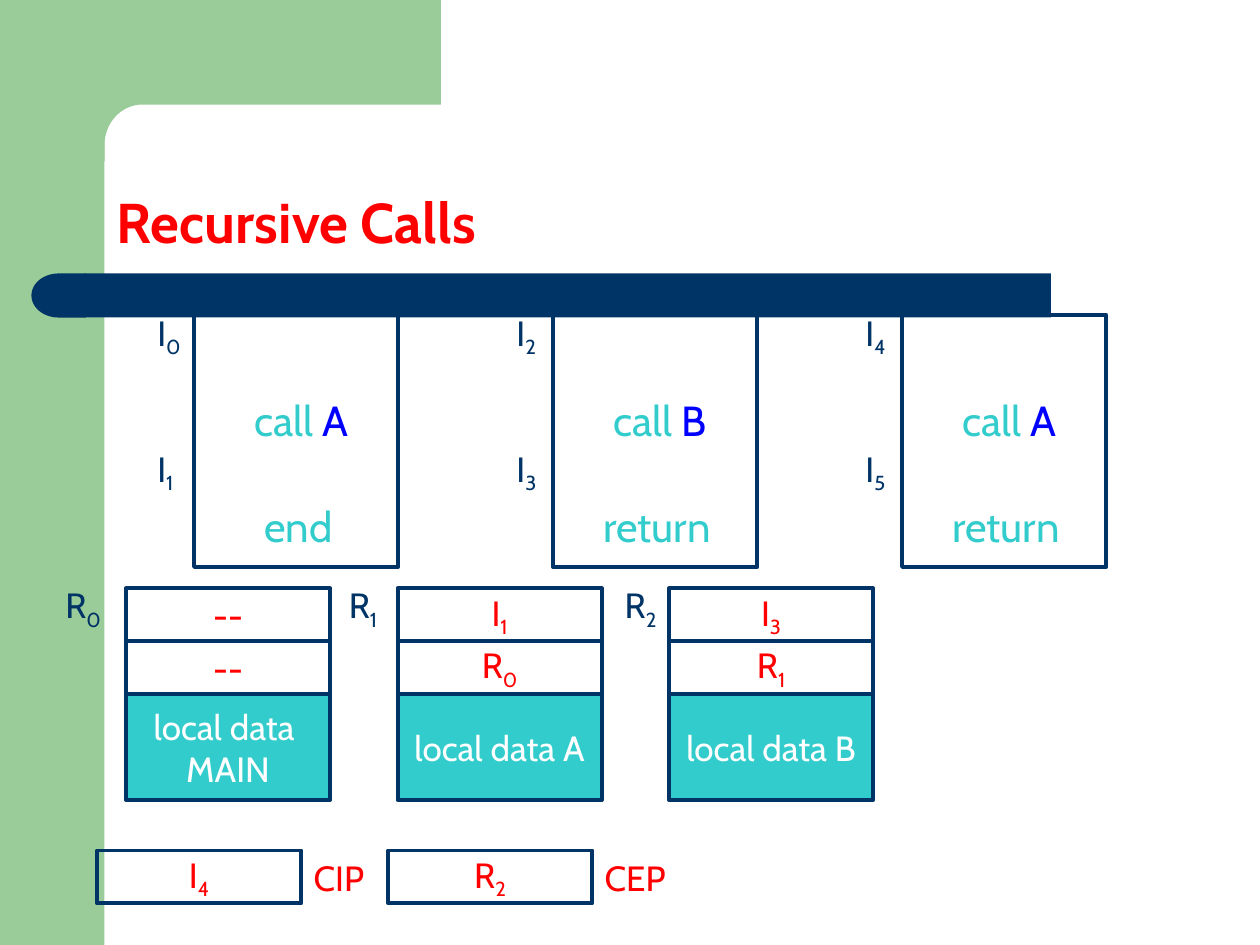
import math
from pptx import Presentation, util as u
from pptx.dml.color import RGBColor
from pptx.enum import shapes, text

GREEN = RGBColor(0x99, 0xCC, 0x99)
NAVY = RGBColor(0x00, 0x33, 0x66)
TEAL = RGBColor(0x33, 0xCC, 0xCC)
RED = RGBColor(0xFF, 0x00, 0x00)
BLUE = RGBColor(0x00, 0x00, 0xFF)
WHITE = RGBColor(0xFF, 0xFF, 0xFF)
FONT = "Cabin"
KIND = shapes.MSO_SHAPE

# An underscore starts a subscript.
# left, label left, entry label, return label, callee, (last word, offset, width)
ROUTINES = [
    (1.54, 1.15, "I_0", "I_1", "A", ("end", 0.46, 0.75)),
    (4.39, 4.00, "I_2", "I_3", "B", ("return", 0.30, 1.22)),
    (7.16, 6.77, "I_4", "I_5", "A", ("return", 0.30, 1.12)),
]
# label, label left, label width, return address, previous record, local data
RECORDS = [
    ("R_0", 0.42, 0.58, "--", "--", "local data \nMAIN"),
    ("R_1", 2.67, 0.74, "I_1", "R_0", "local data A"),
    ("R_2", 4.86, 0.64, "I_3", "R_1", "local data B"),
]
# left, value, name, name width
REGISTERS = [(0.77, "I_4", "CIP", 0.77), (3.08, "R_2", "CEP", 0.69)]

BOX_W, CELL_H, LABEL_H, CODE_H = 1.62, 0.42, 0.43, 0.5
CODE_TOP, RECORD_TOP, REGISTER_TOP = 2.5, 4.67, 6.75
RECORD_LEFT, RECORD_STEP = 1, 2.155

deck = Presentation()
deck.slide_width, deck.slide_height = u.Inches(10), u.Inches(7.5)
page = deck.slides.add_slide(deck.slide_layouts[6])


def write(box, pieces, size=20, bold=False, align=None):
    """Fill a box with (text, colour) pieces; newlines start paragraphs."""
    frame = box.text_frame
    para = frame.paragraphs[0]
    para.alignment = align
    for words, colour in pieces:
        for row, line in enumerate(words.split("\n")):
            if row:
                para = frame.add_paragraph()
                para.alignment = align
            for level, part in enumerate(line.split("_")):
                span = para.add_run()
                span.text = part
                span.font.name, span.font.size = FONT, u.Pt(size)
                span.font.bold = bold
                span.font.color.rgb = colour
                if level:
                    span.font._element.set("baseline", "-25000")


def add_label(left, top, width, height, pieces, size=20, bold=False):
    """Add a wrapping text box and return it."""
    box = page.shapes.add_textbox(*map(u.Inches, (left, top, width, height)))
    box.text_frame.word_wrap = True
    write(box, pieces, size, bold)
    return box


def paint(shape, fill=None, line=None):
    """Set the fill and outline of a shape, without shadow."""
    shape.shadow.inherit = False
    if fill is None:
        shape.fill.background()
    else:
        shape.fill.solid()
        shape.fill.fore_color.rgb = fill
    if line is None:
        shape.line.fill.background()
    else:
        shape.line.color.rgb = line
        shape.line.width = u.Pt(2.25)


def add_block(left, top, width, height, fill=None, line=None, kind=KIND.RECTANGLE):
    """Add a preset shape and return it."""
    shape = page.shapes.add_shape(kind, *map(u.Inches, (left, top, width, height)))
    paint(shape, fill, line)
    return shape


def add_cell(left, top, height, words, colour=RED, fill=None):
    """Add an outlined box with centred text."""
    cell = add_block(left, top, BOX_W, height, fill, NAVY)
    cell.text_frame.word_wrap = False
    cell.text_frame.vertical_anchor = text.MSO_ANCHOR.MIDDLE
    write(cell, [(words, colour)], align=text.PP_ALIGN.CENTER)


def add_corner():
    """Draw the top band, which curves into the side band."""
    arc = [(1.13 - 0.3 * math.sin(a), 1.15 - 0.32 * math.cos(a))
           for a in (math.pi / 2 * n / 16 for n in range(17))]
    points = [(3.5, 0), (3.5, 0.83), *arc, (0.83, 1.28), (0.5, 1.28), (0.5, 0)]
    scaled = [(u.Inches(x), u.Inches(y)) for x, y in points]
    builder = page.shapes.build_freeform(*scaled[0])
    builder.add_line_segments(scaled[1:], close=True)
    paint(builder.convert_to_shape(), GREEN)


add_block(0, 0, 0.83, 7.5, GREEN)
add_corner()
add_block(0.67, 2.17, 7.67, 0.35, NAVY)
cap = add_block(0.25, 2.17, 0.43, 0.35, NAVY, kind=KIND.FLOWCHART_DELAY)
cap._element.spPr.get_or_add_xfrm().set("flipH", "1")

title = add_label(0.83, 0.83, 8.67, 1.25, [("Recursive Calls", RED)], 32, True)
title.text_frame.vertical_anchor = text.MSO_ANCHOR.BOTTOM
title.text_frame.paragraphs[0].line_spacing = 0.9

for left, label_left, entry, back, callee, (last, offset, width) in ROUTINES:
    add_block(left, CODE_TOP, BOX_W, 2, line=NAVY)
    add_label(left + 0.38, 3.08, 1, CODE_H, [("call ", TEAL), (callee, BLUE)], 24)
    add_label(left + offset, 3.92, width, CODE_H, [(last, TEAL)], 24)
    for top, name in ((2.42, entry), (3.5, back)):
        add_label(label_left, top, 0.46, LABEL_H, [(name, NAVY)])

for column, (name, label_left, width, address, previous, data) in enumerate(RECORDS):
    left = RECORD_LEFT + column * RECORD_STEP
    add_cell(left, RECORD_TOP + 2 * CELL_H, 2 * CELL_H, data, WHITE, TEAL)
    add_cell(left, RECORD_TOP + CELL_H, CELL_H, previous)
    add_cell(left, RECORD_TOP, CELL_H, address)
    add_label(label_left, 4.58, width, LABEL_H, [(name, NAVY)])

for left, value, name, width in REGISTERS:
    add_cell(left, REGISTER_TOP, CELL_H, value)
    add_label(left + BOX_W, REGISTER_TOP, width, LABEL_H, [(name, RED)])

deck.save("out.pptx")
